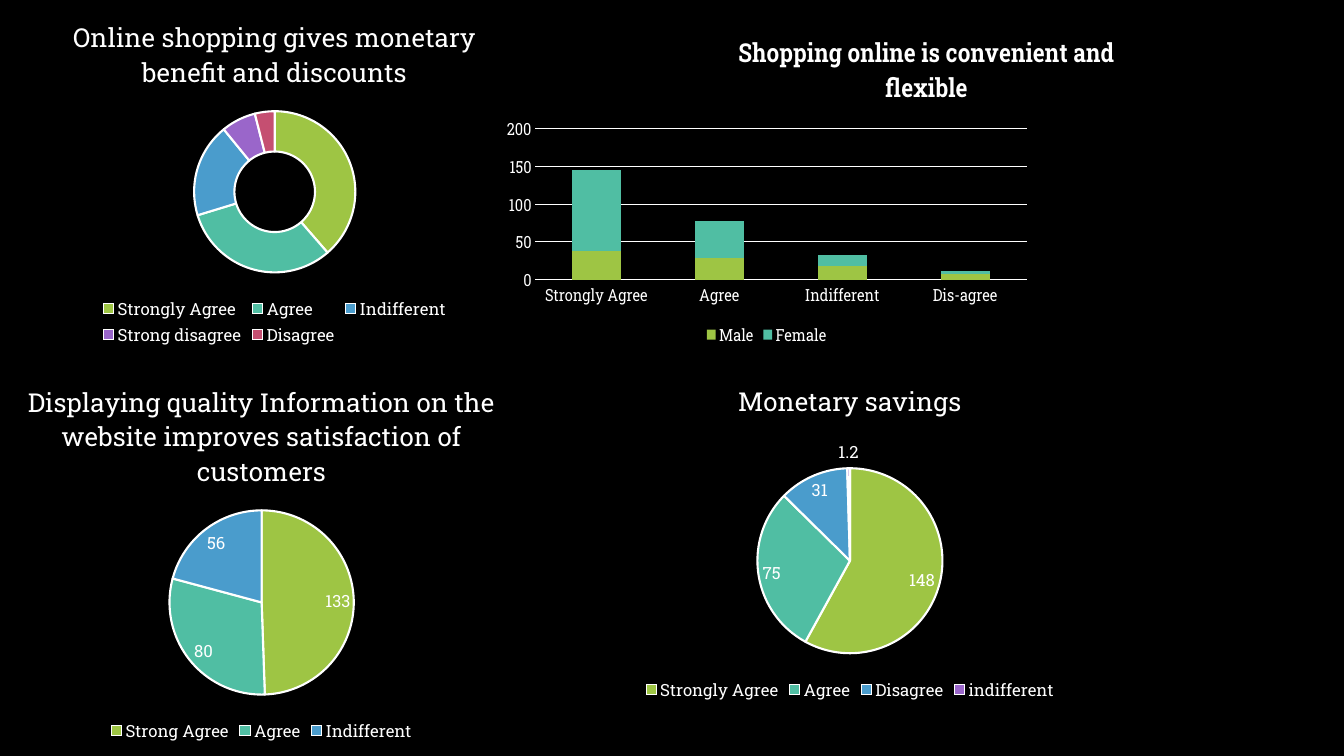
import lxml.etree
import pptx
import pptx.chart.data
import pptx.dml.color
import pptx.enum.chart
import pptx.util

Inches = pptx.util.Inches
Pt = pptx.util.Pt
qn = pptx.oxml.ns.qn
Kind = pptx.enum.chart.XL_CHART_TYPE
WHITE = "FFFFFF"
HUES = ["9EC544", "50BEA3", "4A9CCC", "9A66CA", "C54F71"]
BASE = {"name": "Roboto Slab", "size": Pt(12), "bold": False}
HEAD = {**BASE, "size": Pt(18.6)}


def color(code):
    return pptx.dml.color.RGBColor.from_string(code)


def paint(fill, code):
    fill.solid()
    fill.fore_color.rgb = color(code)


def style(font, form):
    for key, value in form.items():
        setattr(font, key, value)
    font.color.rgb = color(WHITE)


def rule(line, width):
    line.color.rgb = color(WHITE)
    line.width = Pt(width)


def add_node(parent, tag, **attrs):
    return lxml.etree.SubElement(parent, qn(tag), attrs)


def hide_entry(chart, index):
    """Leave one entry out of the legend."""
    legend = chart.legend._element
    entry = add_node(legend, "c:legendEntry")
    add_node(entry, "c:idx", val=str(index))
    add_node(entry, "c:delete", val="1")
    legend.find(qn("c:legendPos")).addnext(entry)


def move_title(chart, x, y):
    """Put the title's corner at fractions of the chart's size."""
    title = chart.chart_title._element
    for old in title.findall(qn("c:layout")):
        title.remove(old)
    layout = add_node(title, "c:layout")
    manual = add_node(layout, "c:manualLayout")
    for tag, value in (("xMode", "edge"), ("yMode", "edge"), ("x", x), ("y", y)):
        add_node(manual, "c:" + tag, val=str(value))
    title.find(qn("c:tx")).addnext(layout)


def add_chart(slide, box, kind, title, cats, series, head=HEAD):
    """Place a chart with its title on top and its legend below."""
    data = pptx.chart.data.CategoryChartData()
    data.categories = cats
    for name, values in series.items():
        data.add_series(name, values)
    chart = slide.shapes.add_chart(kind, *map(Inches, box), data).chart
    style(chart.font, {**BASE, "size": Pt(10)})
    chart.has_title = True
    frame = chart.chart_title.text_frame
    frame.text = title
    style(frame.paragraphs[0].runs[0].font, head)
    chart.has_legend = True
    chart.legend.position = pptx.enum.chart.XL_LEGEND_POSITION.BOTTOM
    chart.legend.include_in_layout = False
    style(chart.legend.font, BASE)
    return chart


def add_round(slide, box, kind, title, name, shares):
    """Place a pie or ring whose slices are outlined in white."""
    chart = add_chart(slide, box, kind, title, list(shares), {name: shares.values()})
    plot = chart.plots[0]
    plot.vary_by_categories = True
    for index, value in enumerate(shares.values()):
        form = plot.series[0].points[index].format
        paint(form.fill, HUES[index])
        rule(form.line, 1.5)
        if value is None:
            hide_entry(chart, index)
    return plot


def add_ring(slide, box, title, shares):
    plot = add_round(slide, box, Kind.DOUGHNUT, title, "Series 1", shares)
    plot.has_data_labels = False
    plot._element.find(qn("c:holeSize")).set("val", "75")


def add_pie(slide, box, title, shares):
    plot = add_round(slide, box, Kind.PIE, title, title, shares)
    plot.has_data_labels = True
    labels = plot.data_labels
    labels.show_value = True
    labels.position = pptx.enum.chart.XL_LABEL_POSITION.BEST_FIT
    style(labels.font, BASE)


def add_stack(slide, box, title, cats, series):
    chart = add_chart(slide, box, Kind.COLUMN_STACKED, title, cats, series,
                      {**HEAD, "bold": True})
    move_title(chart, 0.44, 0.04)
    plot = chart.plots[0]
    plot.vary_by_categories = False
    plot.gap_width, plot.overlap = 150, 100
    for index, bar in enumerate(plot.series):
        paint(bar.format.fill, HUES[index])
        if not any(bar.values):
            hide_entry(chart, index)
    for axis in (chart.category_axis, chart.value_axis):
        axis.major_tick_mark = pptx.enum.chart.XL_TICK_MARK.NONE
        style(axis.tick_labels.font, BASE)
    rule(chart.category_axis.format.line, 0.75)
    scale = chart.value_axis
    scale.minimum_scale, scale.maximum_scale, scale.major_unit = 0, 200, 50
    scale.format.line.fill.background()
    rule(scale.major_gridlines.format.line, 0.75)


def main():
    deck = pptx.Presentation()
    deck.slide_width, deck.slide_height = Inches(13.33), Inches(7.5)
    slide = deck.slides.add_slide(deck.slide_layouts[6])
    paint(slide.background.fill, "000000")
    add_ring(slide, (-0.17, 0, 5.79, 3.47),
             "Online shopping gives monetary benefit and discounts",
             {"Strongly Agree": 39, "Agree": 32, "Indifferent": 19,
              "Strong disagree": 7, "Disagree": 4})
    add_stack(slide, (4.92, 0.14, 6.18, 3.33),
              "Shopping online is convenient and flexible",
              ["Strongly Agree", "Agree", "Indifferent", "Dis-agree"],
              {"Male": (38, 28, 18, 8), "Female": (108, 50, 15, 4),
               "Series 3": (None,) * 4})
    add_pie(slide, (-0.75, 3.61, 6.69, 3.79),
            "Displaying quality Information on the website "
            "improves satisfaction of customers",
            {"Strong Agree": 133, "Agree": 80, "Indifferent": 56, "": None})
    add_pie(slide, (4.84, 3.61, 7.18, 3.38), "Monetary savings",
            {"Strongly Agree": 148, "Agree": 75, "Disagree": 31,
             "indifferent": 1.2})
    deck.save("out.pptx")


if __name__ == "__main__":
    main()
